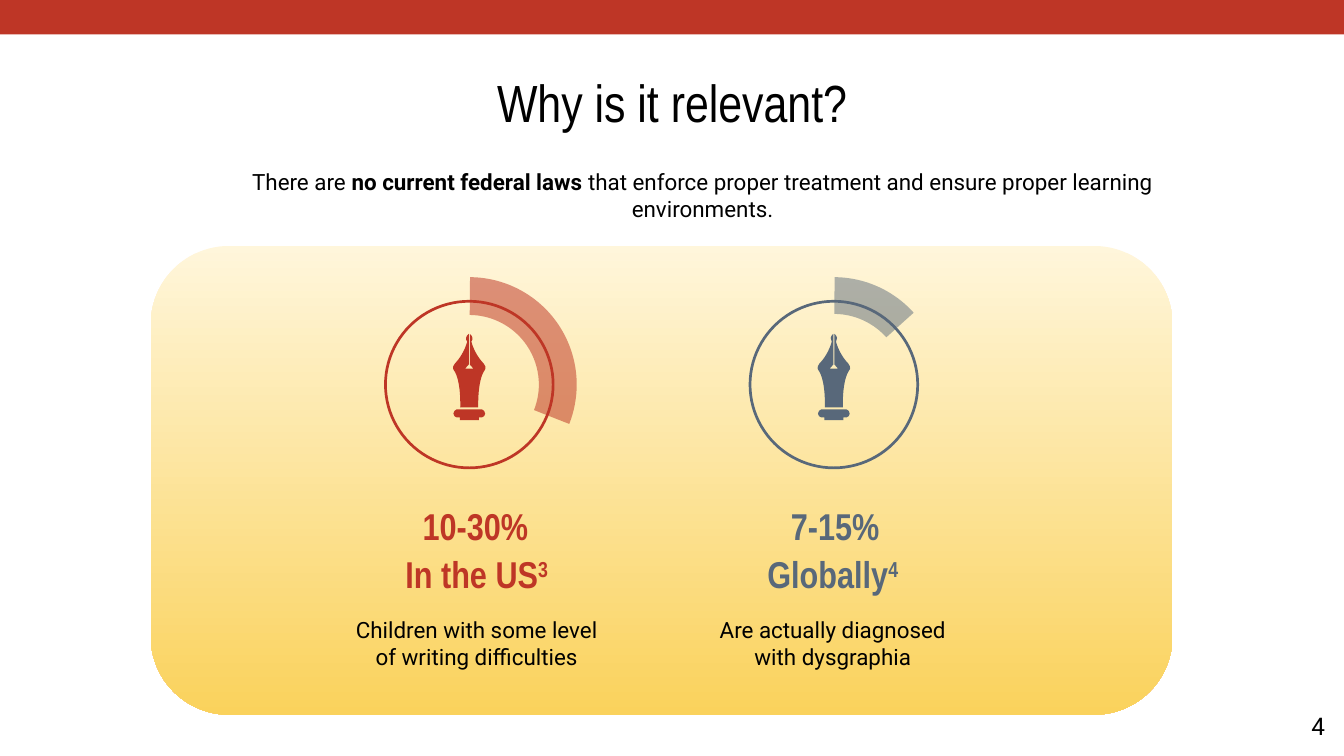
from pptx import Presentation
from pptx.dml.color import RGBColor
from pptx.enum.shapes import MSO_SHAPE
from pptx.enum.text import MSO_ANCHOR, MSO_AUTO_SIZE, PP_ALIGN
from pptx.oxml.ns import qn
from pptx.util import Cm, Pt
from lxml import etree

RECTANGLE = MSO_SHAPE.RECTANGLE
ROUNDED = MSO_SHAPE.ROUNDED_RECTANGLE
BLOCK_ARC = MSO_SHAPE.BLOCK_ARC
DONUT = MSO_SHAPE.DONUT
TOP, MIDDLE = MSO_ANCHOR.TOP, MSO_ANCHOR.MIDDLE
CENTER, RIGHT = PP_ALIGN.CENTER, PP_ALIGN.RIGHT
TITLE_ONLY = 5

COLORS = {
    "red": "BE3626",
    "slate": "58687A",
    "black": "000000",
    "cream": "FFF6DB",
    "gold": "FAD25C",
}
HEADING_FONT = "Arial Narrow"
BODY_FONT = "Roboto"

# Right halves of the pen outlines in cm from the pen's axis: a start point
# with cubic curves (two controls and an end each), then straight points.
NIB_CURVES = [
    (0.01, 0),
    (0.04, 0.03), (0.06, 0.05), (0.06, 0.08),
    (0.06, 0.10), (0.06, 0.13), (0.04, 0.15),
    (0.09, 0.33), (0.19, 0.48), (0.27, 0.56),
    (0.34, 0.64), (0.29, 0.69), (0.29, 0.69),
    (0.15, 0.89), (0.17, 1.39), (0.17, 1.39),
]
NIB_SLIT = [(-0.01, 0.58), (-0.08, 0.66), (0.08, 0.66), (0.01, 0.58)]
COLLAR_CURVES = [
    (0.24, 0),
    (0.27, 0), (0.30, 0.05), (0.30, 0.08),
    (0.30, 0.11), (0.27, 0.15), (0.24, 0.15),
]
COLLAR_FOOT = [(0.18, 0.15), (0.18, 0.20)]


def rgb(name):
    return RGBColor.from_string(COLORS[name])


def add_shape(slide, kind, left, top, width, height, color=None, adjustments=()):
    shape = slide.shapes.add_shape(kind, Cm(left), Cm(top), Cm(width), Cm(height))
    shape.shadow.inherit = False
    shape.line.fill.background()
    for index, value in enumerate(adjustments):
        shape.adjustments[index] = value
    if color:
        shape.fill.solid()
        shape.fill.fore_color.rgb = rgb(color)
    return shape


def set_opacity(shape, percent):
    color = shape._element.spPr.find(".//" + qn("a:srgbClr"))
    etree.SubElement(color, qn("a:alpha")).set("val", str(percent * 1000))


def write_text(shape, runs, size, font, color="black", align=CENTER, anchor=MIDDLE):
    """Fill one paragraph from (text, bold, superscript) runs."""
    frame = shape.text_frame
    frame.word_wrap = True
    frame.auto_size = MSO_AUTO_SIZE.NONE
    frame.vertical_anchor = anchor
    frame.margin_left = frame.margin_right = Cm(0.25)
    frame.margin_top = frame.margin_bottom = Cm(0.25)
    paragraph = frame.paragraphs[0]
    paragraph.alignment = align
    for text, bold, superscript in runs:
        run = paragraph.add_run()
        run.text = text
        run.font.name = font
        run.font.size = Pt(size)
        run.font.bold = bold
        run.font.color.rgb = rgb(color)
        if superscript:
            run._r.get_or_add_rPr().set("baseline", "30000")


def add_text(slide, left, top, width, height, runs, size, font, **style):
    box = slide.shapes.add_textbox(Cm(left), Cm(top), Cm(width), Cm(height))
    write_text(box, runs, size, font, **style)


def add_title(slide, text):
    title = slide.shapes.title
    title.left, title.top = Cm(2), Cm(1.07)
    title.width, title.height = Cm(21.4), Cm(1.6)
    write_text(title, [(text, False, False)], 28, HEADING_FONT, anchor=TOP)


def add_panel(slide):
    panel = add_shape(slide, ROUNDED, 2.85, 4.65, 19.31, 8.86, adjustments=[0.167])
    panel.fill.gradient()
    panel.fill.gradient_angle = 270
    for stop, position, color in zip(panel.fill.gradient_stops, (0, 1), ("cream", "gold")):
        stop.position = position
        stop.color.rgb = rgb(color)


def join_as_curves(lines):
    """Turn each three line segments into one cubic curve."""
    for first in range(0, len(lines), 3):
        curve = etree.Element(qn("a:cubicBezTo"))
        lines[first].addprevious(curve)
        for line in lines[first:first + 3]:
            curve.append(line[0])
            line.getparent().remove(line)


def add_mirrored_outline(group, axis, top, color, curves, straight=(), closing=()):
    """Draw the right half, its reflection from bottom to top, then the closing points."""
    half = [*curves, *straight]
    outline = half + [(-x, y) for x, y in reversed(half)] + list(closing)
    points = [(Cm(axis + x), Cm(top + y)) for x, y in outline]
    builder = group.shapes.build_freeform(*points[0])
    builder.add_line_segments(points[1:], close=True)
    part = builder.convert_to_shape()

    lines = list(part._element.iter(qn("a:lnTo")))
    curved = len(curves) - 1
    reflected = curved + 2 * len(straight) + 1
    join_as_curves(lines[:curved])
    join_as_curves(lines[reflected:reflected + curved])

    part.shadow.inherit = False
    part.fill.solid()
    part.fill.fore_color.rgb = rgb(color)
    part.line.fill.background()


def add_pen(slide, axis, top, color):
    group = slide.shapes.add_group_shape()
    add_mirrored_outline(group, axis, top, color, NIB_CURVES, closing=NIB_SLIT)
    add_mirrored_outline(group, axis, top + 1.43, color, COLLAR_CURVES, COLLAR_FOOT)


def add_gauge(slide, axis, color, end_degrees, thickness, opacity):
    # Angle adjustments count 60000ths of a degree in units of 100000.
    angles = [degrees * 0.6 for degrees in (270.4, end_degrees)]
    arc = add_shape(slide, BLOCK_ARC, axis - 2.03, 5.24, 4.06, 4.06, color,
                    [*angles, thickness])
    set_opacity(arc, opacity)
    add_pen(slide, axis, 6.31, color)
    add_shape(slide, DONUT, axis - 1.61, 5.67, 3.22, 3.2, color, [0.016])


def add_statistic(slide, left, percent_left, color, percent, place, note, caption):
    add_text(slide, percent_left, 9.37, 2.57, 1.12, [(percent, True, False)],
             20, HEADING_FONT, color=color)
    add_text(slide, left, 10.37, 5.28, 0.94,
             [(place, True, False), (note, True, True)], 20, HEADING_FONT, color=color)
    add_text(slide, left, 11.14, 5.28, 2.03, [(caption, False, False)], 12, BODY_FONT)


def main():
    presentation = Presentation()
    presentation.slide_width, presentation.slide_height = Cm(25.4), Cm(14.29)
    slide = presentation.slides.add_slide(presentation.slide_layouts[TITLE_ONLY])

    add_panel(slide)
    add_title(slide, "Why is it relevant?")
    add_text(slide, 3.16, 2.67, 20.24, 2.03, [
        ("There are ", False, False),
        ("no current federal laws", True, False),
        (" that enforce proper treatment and ensure proper learning environments.",
         False, False),
    ], 12, BODY_FONT)

    add_gauge(slide, 8.87, "red", 21.5, 0.176, 53)
    add_gauge(slide, 15.76, "slate", 318, 0.171, 49)
    add_statistic(slide, 6.37, 7.7, "red", "10-30%", "In the US", "3",
                  "Children with some level of writing difficulties")
    add_statistic(slide, 13.1, 14.5, "slate", "7-15%", "Globally", "4",
                  "Are actually diagnosed with dysgraphia")
    add_text(slide, 23.77, 13.19, 1.52, 1.09, [("4", False, False)], 13, BODY_FONT,
             align=RIGHT, anchor=TOP)
    add_shape(slide, RECTANGLE, 0, 0, 25.4, 0.65, "red")

    presentation.save("out.pptx")


if __name__ == "__main__":
    main()
